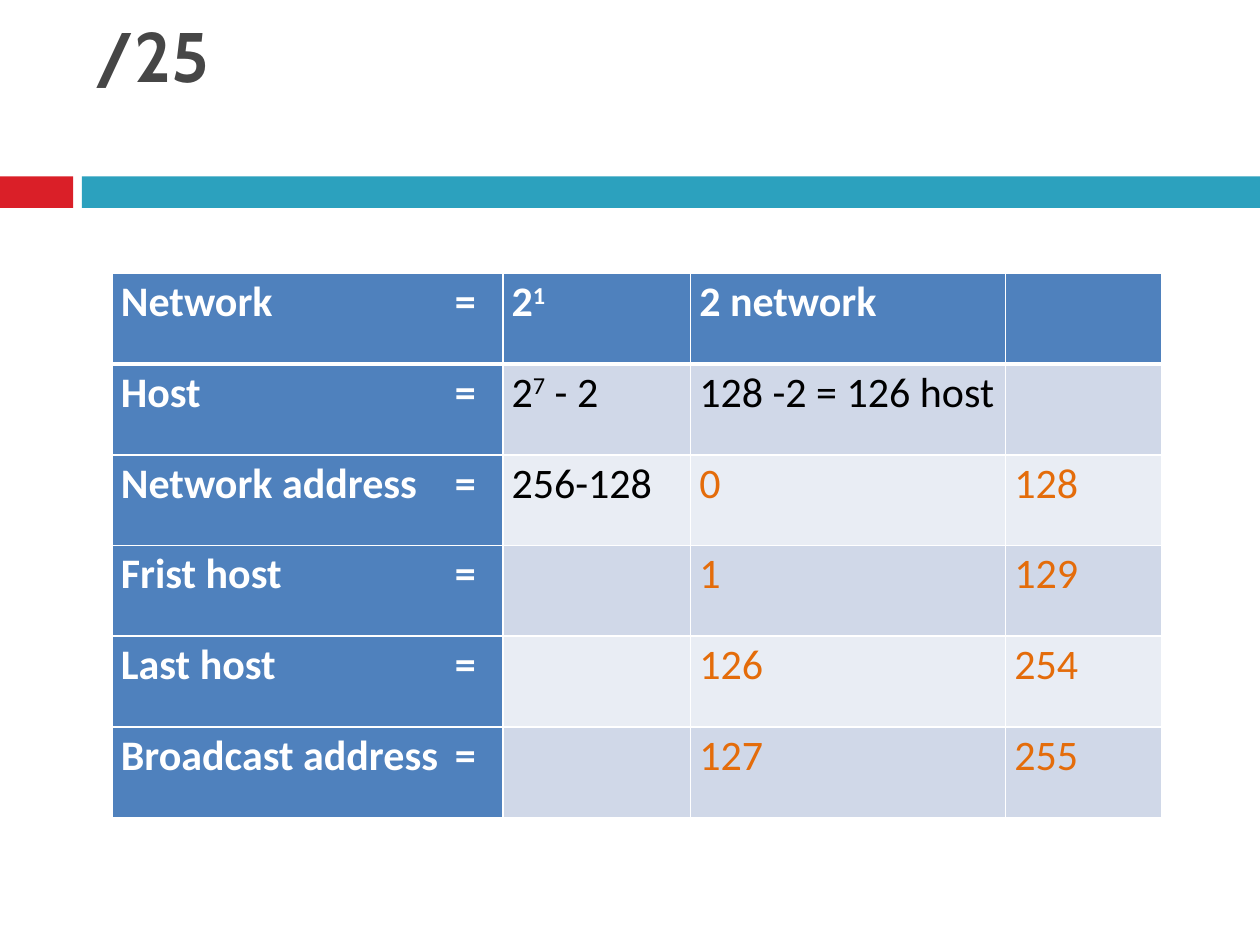
import pptx
import pptx.util
import pptx.dml.color
import pptx.enum.shapes
import pptx.enum.text
import pptx.oxml
import pptx.oxml.ns

COLORS = {
    "red": "DA1F28", "teal": "2CA1BE", "title": "464646", "white": "FFFFFF",
    "black": "000000", "orange": "E46C0A", "blue": "4F81BD",
    "odd": "D0D8E8", "even": "E9EDF4",
}
COLUMN_WIDTHS = [3.1, 1.49, 2.5, 1.24]
ROW_HEIGHT = 0.72
EQUALS_TAB = 2.65

# "^" switches superscript on and off.
ROWS = [
    ["Network\t=", "2^1", "2 network", ""],
    ["Host\t=", "2^7^ - 2", "128 -2 = 126 host", ""],
    ["Network address\t=", "256-128", "0", "128"],
    ["Frist host\t=", "", "1", "129"],
    ["Last host\t=", "", "126", "254"],
    ["Broadcast address\t=", "", "127", "255"],
]


class Deck:
    """Holds the style and the current slide; lengths are shares of the slide."""

    def __init__(self, width, height):
        self.prs = pptx.Presentation()
        self.prs.slide_width = pptx.util.Inches(width)
        self.prs.slide_height = pptx.util.Inches(height)
        self.s = self.prs.slides.add_slide(self.prs.slide_layouts[5])

    def box(self, x, y, w, h):
        width, height = self.prs.slide_width, self.prs.slide_height
        return [round(v) for v in (x * width, y * height, w * width, h * height)]

    def color(self, name):
        return pptx.dml.color.RGBColor.from_string(COLORS[name])

    def run(self, p, text, font, size, color, bold, superscript=False):
        r = p.add_run()
        r.text = text
        r.font.name, r.font.size, r.font.bold = font, pptx.util.Pt(size), bold
        r.font.color.rgb = self.color(color)
        if superscript:
            r.font._element.set("baseline", "30000")

    def title(self, text, *area):
        sp = self.s.shapes.title
        sp.left, sp.top, sp.width, sp.height = self.box(*area)
        tf = sp.text_frame
        tf.margin_left = tf.margin_top = tf.margin_right = tf.margin_bottom = 0
        tf.vertical_anchor = pptx.enum.text.MSO_ANCHOR.TOP
        p = tf.paragraphs[0]
        p.alignment = pptx.enum.text.PP_ALIGN.LEFT
        self.run(p, text, "Cabin", 40, "title", True)

    def bar(self, color, *area):
        sp = self.s.shapes.add_shape(
            pptx.enum.shapes.MSO_SHAPE.RECTANGLE, *self.box(*area))
        sp.shadow.inherit = False
        sp.fill.solid()
        sp.fill.fore_color.rgb = self.color(color)
        sp.line.fill.background()

    def borders(self, cell, row):
        tc_pr = cell._tc.get_or_add_tcPr()
        widths = {"L": 1, "R": 1, "T": 3 if row == 1 else 1, "B": 3 if row == 0 else 1}
        for side, width in widths.items():
            tc_pr.append(pptx.oxml.parse_xml(
                f'<a:ln{side} {pptx.oxml.ns.nsdecls("a")} w="{pptx.util.Pt(width)}">'
                f'<a:solidFill><a:srgbClr val="{COLORS["white"]}"/></a:solidFill>'
                f'</a:ln{side}>'))

    def cell(self, cell, row, col, text):
        heading = row == 0 or col == 0
        self.borders(cell, row)
        cell.fill.solid()
        cell.fill.fore_color.rgb = self.color(
            "blue" if heading else "odd" if row % 2 else "even")
        cell.margin_left = cell.margin_right = pptx.util.Inches(0.07)
        cell.margin_top = cell.margin_bottom = 0
        if not text:
            return
        p = cell.text_frame.paragraphs[0]
        p.line_spacing = 1.07
        if "\t" in text:
            p._p.get_or_add_pPr().append(pptx.oxml.parse_xml(
                f'<a:tabLst {pptx.oxml.ns.nsdecls("a")}>'
                f'<a:tab pos="{pptx.util.Inches(EQUALS_TAB)}" algn="l"/></a:tabLst>'))
        color = "white" if heading else "orange" if row > 1 and col > 1 else "black"
        for i, part in enumerate(text.split("^")):
            self.run(p, part, "Calibri", 24, color, heading, superscript=i % 2 == 1)

    def table(self, rows, *area):
        table = self.s.shapes.add_table(
            len(rows), len(rows[0]), *self.box(*area)).table
        table.first_col = True
        for column, width in zip(table.columns, COLUMN_WIDTHS):
            column.width = pptx.util.Inches(width)
        for i, texts in enumerate(rows):
            table.rows[i].height = pptx.util.Inches(ROW_HEIGHT)
            for j, text in enumerate(texts):
                self.cell(table.cell(i, j), i, j, text)


def main():
    width, height = 10, 7.5
    deck = Deck(width, height)
    bar_top, bar_height = 1.4 / height, 0.25 / height
    deck.bar("red", 0, bar_top, 0.058, bar_height)
    deck.bar("teal", 0.065, bar_top, 0.935, bar_height)
    deck.title("/25", 0.076, 0.1 / height, 0.849, 0.18)
    deck.table(ROWS, 0.089, 2.17 / height, sum(COLUMN_WIDTHS) / width,
               len(ROWS) * ROW_HEIGHT / height)
    deck.prs.save("out.pptx")


if __name__ == "__main__":
    main()
